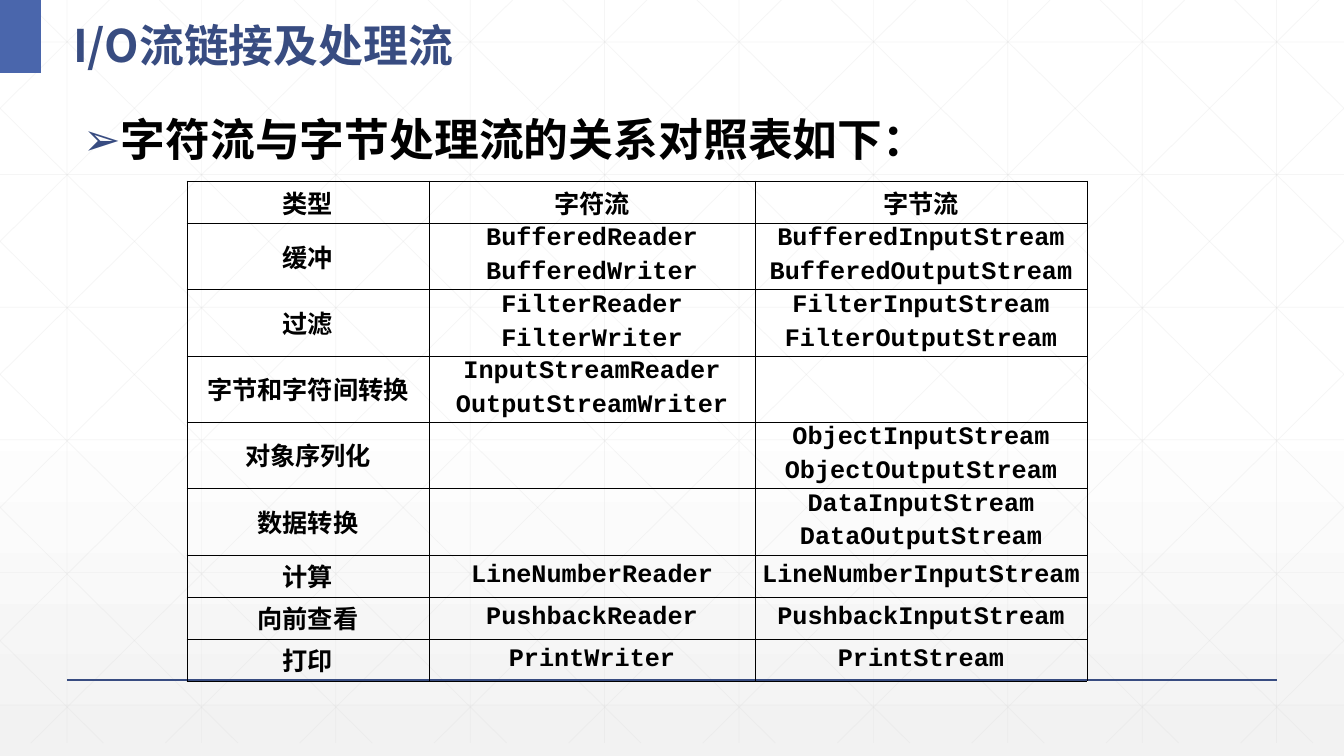
from lxml import etree
from pptx import Presentation, util as u
from pptx.dml.color import RGBColor
from pptx.enum import shapes, text
from pptx.oxml import ns

W, H = 1344, 756
PX = 12192000 / W
BLUE = RGBColor(0x4A, 0x66, 0xAC)
NAVY = RGBColor(0x38, 0x4C, 0x81)
BLACK = RGBColor(0, 0, 0)
WHITE = RGBColor(255, 255, 255)
PALE = RGBColor(0xF2, 0xF2, 0xF2)
GRID = RGBColor(0xD9, 0xD9, 0xD9)
CJK, MONO = "Noto Sans CJK SC", "Courier New"

COLUMNS = [242, 326, 332]
ROW_HEIGHTS = [42, 66, 67, 66, 66, 67, 42, 42, 42]
STREAMS = [
    ("缓冲", ["BufferedReader", "BufferedWriter"],
     ["BufferedInputStream", "BufferedOutputStream"]),
    ("过滤", ["FilterReader", "FilterWriter"],
     ["FilterInputStream", "FilterOutputStream"]),
    ("字节和字符间转换", ["InputStreamReader", "OutputStreamWriter"], []),
    ("对象序列化", [], ["ObjectInputStream", "ObjectOutputStream"]),
    ("数据转换", [], ["DataInputStream", "DataOutputStream"]),
    ("计算", ["LineNumberReader"], ["LineNumberInputStream"]),
    ("向前查看", ["PushbackReader"], ["PushbackInputStream"]),
    ("打印", ["PrintWriter"], ["PrintStream"]),
]


def px(n):
    return u.Emu(round(n * PX))


def sub(parent, tag, **attrs):
    return etree.SubElement(parent, ns.qn(tag), attrs)


def place(shape, x, y, w, h):
    shape.left, shape.top, shape.width, shape.height = map(px, (x, y, w, h))


def add_run(p, words, size, color, font=CJK):
    r = p.add_run()
    r.text = words
    r.font.size, r.font.bold, r.font.name = u.Pt(size), True, font
    r.font.color.rgb = color
    sub(r.font._element, "a:ea", typeface=font)


def add_line(parent, x1, y1, x2, y2, color, width):
    line = parent.add_connector(shapes.MSO_CONNECTOR.STRAIGHT,
                                px(x1), px(y1), px(x2), px(y2))
    line.line.color.rgb, line.line.width = color, u.Pt(width)
    sub(line.element.spPr, "a:effectLst")
    return line


def add_background(s):
    fill = s.background.fill
    fill.gradient()
    fill.gradient_angle = 270
    for stop, (position, color) in zip(fill.gradient_stops,
                                       [(0.53, WHITE), (1, PALE)]):
        stop.position, stop.color.rgb = position, color


def add_grid(s, w, h):
    """Faint verticals, horizontals and mirrored diagonals, clipped to the box."""
    step, run = w / 10, 1.01
    ends = [(67 + step * i, 0, 67 + step * i, h) for i in range(10)]
    ends += [(0, 42 + 132.6 * i, w, 42 + 132.6 * i) for i in range(6)]
    for i in range(-5, 10):
        x = 25 + step * i
        top, bottom = max(0, -x / run), min(h, (w - x) / run)
        x1, x2 = x + run * top, x + run * bottom
        ends += [(x1, top, x2, bottom), (w - x1, top, w - x2, bottom)]
    group = s.shapes.add_group_shape()
    for points in ends:
        line = add_line(group.shapes, *points, GRID, 0.5)
        color = line.element.spPr.find(".//" + ns.qn("a:srgbClr"))
        sub(color, "a:alpha", val="25000")


def add_corner_bar(s, x, y, w, h):
    bar = s.shapes.add_shape(shapes.MSO_SHAPE.RECTANGLE,
                             px(x), px(y), px(w), px(h))
    bar.shadow.inherit = False
    bar.fill.solid()
    bar.fill.fore_color.rgb = BLUE
    bar.line.fill.background()


def fill_placeholder(s, sp, box, words, color, anchor):
    """Bring the placeholder to the front and return its one paragraph."""
    s.shapes.element.append(sp.element)
    place(sp, *box)
    tf = sp.text_frame
    tf.word_wrap, tf.auto_size = True, text.MSO_AUTO_SIZE.NONE
    tf.vertical_anchor = anchor
    p = tf.paragraphs[0]
    p.alignment = text.PP_ALIGN.LEFT
    add_run(p, words, 32, color)
    return p


def add_title(s, *box):
    p = fill_placeholder(s, s.shapes.title, box, "I/O流链接及处理流", NAVY,
                         text.MSO_ANCHOR.MIDDLE)
    p.line_spacing = 1.3


def add_body(s, *box):
    p = fill_placeholder(s, s.placeholders[1], box,
                         "字符流与字节处理流的关系对照表如下：", BLACK,
                         text.MSO_ANCHOR.TOP)
    p.line_spacing, p.space_before = 0.9, u.Pt(18)
    pPr = p._p.get_or_add_pPr()
    pPr.set("marL", str(u.Inches(0.25)))
    pPr.set("indent", str(-u.Inches(0.25)))
    sub(sub(pPr, "a:buClr"), "a:srgbClr", val=str(NAVY))
    sub(pPr, "a:buChar", char="➢")


def fill_cell(cell, lines, font):
    cell.margin_left = cell.margin_right = 0
    cell.margin_top = cell.margin_bottom = 0
    cell.vertical_anchor = text.MSO_ANCHOR.MIDDLE
    tcPr = cell._tc.get_or_add_tcPr()
    for side in ("a:lnL", "a:lnR", "a:lnT", "a:lnB"):
        border = sub(tcPr, side, w=str(u.Pt(0.5)))
        sub(sub(border, "a:solidFill"), "a:srgbClr", val=str(BLACK))
    cell.fill.background()
    tf = cell.text_frame
    for i, words in enumerate(lines):
        p = tf.add_paragraph() if i else tf.paragraphs[0]
        p.alignment, p.space_before = text.PP_ALIGN.CENTER, u.Pt(3.6)
        add_run(p, words, 18, BLACK, font)


def add_stream_table(s, x, y):
    frame = s.shapes.add_table(len(ROW_HEIGHTS), len(COLUMNS), px(x), px(y),
                               px(sum(COLUMNS)), px(sum(ROW_HEIGHTS)))
    table = frame.table
    table.first_row = table.horz_banding = False
    for column, width in zip(table.columns, COLUMNS):
        column.width = px(width)
    for row, height in zip(table.rows, ROW_HEIGHTS):
        row.height = px(height)
    for j, head in enumerate(("类型", "字符流", "字节流")):
        fill_cell(table.cell(0, j), [head], CJK)
    for i, (kind, readers, streams) in enumerate(STREAMS, 1):
        fill_cell(table.cell(i, 0), [kind], CJK)
        fill_cell(table.cell(i, 1), readers, MONO)
        fill_cell(table.cell(i, 2), streams, MONO)


def main():
    prs = Presentation()
    prs.slide_width, prs.slide_height = px(W), px(H)
    s = prs.slides.add_slide(prs.slide_layouts[1])
    add_background(s)
    add_grid(s, W, 743)
    add_line(s.shapes, 67, 680, 1277, 680, NAVY, 1)
    add_corner_bar(s, 0, 0, 41, 73)
    add_title(s, 63, 0, 574, 73)
    add_body(s, 73, 113, 1183, 556)
    add_stream_table(s, 187, 181)
    prs.save("out.pptx")


if __name__ == "__main__":
    main()
